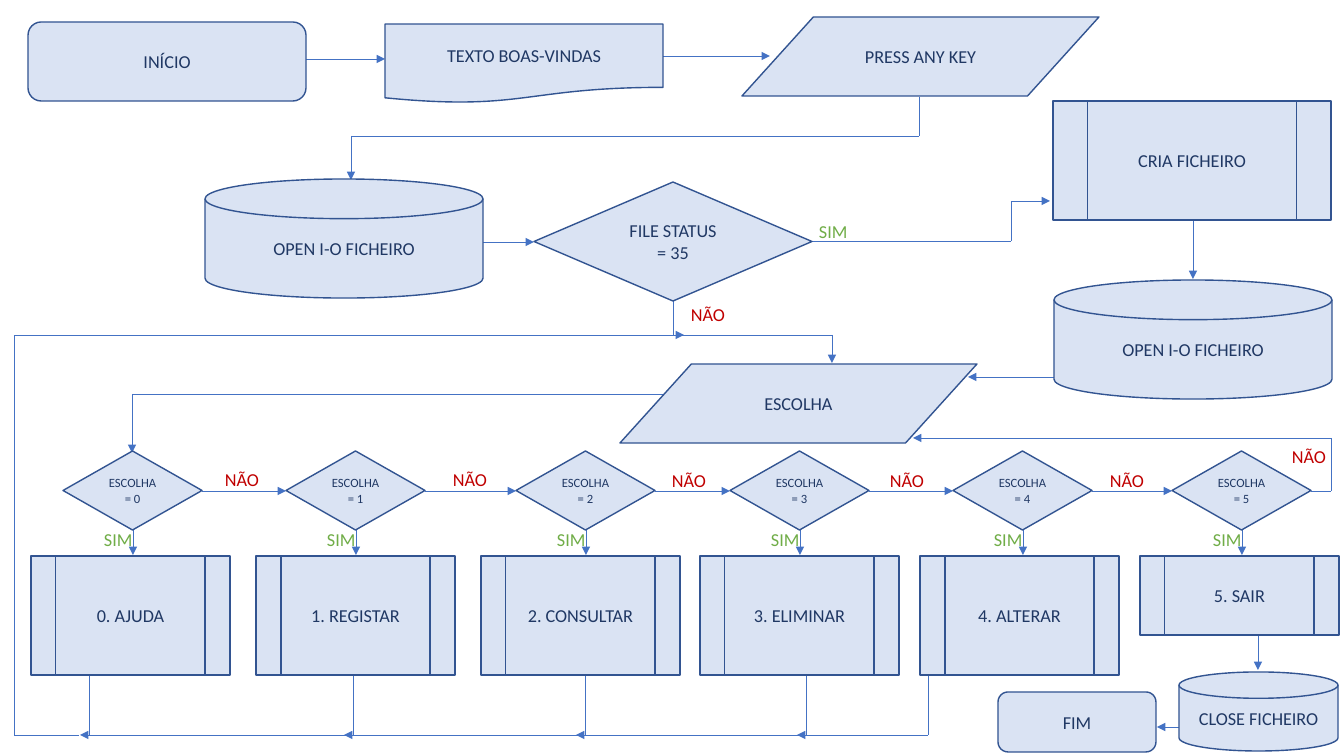
from dataclasses import dataclass
from itertools import pairwise

from lxml import etree
from pptx import Presentation
from pptx.dml.color import RGBColor
from pptx.enum.shapes import MSO_CONNECTOR, MSO_SHAPE
from pptx.enum.text import MSO_ANCHOR, MSO_AUTO_SIZE, PP_ALIGN
from pptx.oxml.ns import qn
from pptx.util import Emu, Pt

SCALE = 914400 / 100.8
FONT = "Calibri"
FILL = RGBColor(0xDA, 0xE3, 0xF3)
EDGE = RGBColor(0x32, 0x54, 0x91)
INK = RGBColor(0x20, 0x38, 0x64)
WIRE = RGBColor(0x44, 0x72, 0xC4)
GREEN = RGBColor(0x70, 0xAD, 0x47)
RED = RGBColor(0xC0, 0x00, 0x00)

ROUND = MSO_SHAPE.FLOWCHART_ALTERNATE_PROCESS
PAPER = MSO_SHAPE.FLOWCHART_DOCUMENT
INPUT = MSO_SHAPE.FLOWCHART_DATA
CALL = MSO_SHAPE.FLOWCHART_PREDEFINED_PROCESS
TEST = MSO_SHAPE.FLOWCHART_DECISION
DISK = MSO_SHAPE.FLOWCHART_MAGNETIC_DISK
STRAIGHT = MSO_CONNECTOR.STRAIGHT
MIDDLE = MSO_ANCHOR.MIDDLE
CENTER = PP_ALIGN.CENTER
GROW = MSO_AUTO_SIZE.SHAPE_TO_FIT_TEXT

Point = tuple[int, int]


@dataclass(frozen=True)
class Node:
    kind: MSO_SHAPE
    text: str
    x: int
    y: int
    w: int = 278
    h: int = 119
    size: int = 13


@dataclass(frozen=True)
class Label:
    text: str
    color: RGBColor
    x: int
    y: int
    w: int = 54


@dataclass(frozen=True)
class Route:
    points: tuple[Point, ...]
    arrow: bool = True


@dataclass(frozen=True)
class Branch:
    text: str
    test: int
    call: int
    no: Point
    h: int = 119


def px(n: int) -> Emu:
    return Emu(round(n * SCALE))


def write(frame, text: str, size: int, color: RGBColor, align=None) -> None:
    frame.word_wrap = True
    for i, line in enumerate(text.split("\n")):
        para = frame.add_paragraph() if i else frame.paragraphs[0]
        para.alignment = align
        run = para.add_run()
        run.text = line
        run.font.name = FONT
        run.font.size = Pt(size)
        run.font.color.rgb = color


def draw_node(shapes, node: Node) -> None:
    shape = shapes.add_shape(node.kind, px(node.x), px(node.y), px(node.w), px(node.h))
    shape.shadow.inherit = False
    shape.fill.solid()
    shape.fill.fore_color.rgb = FILL
    shape.line.color.rgb = EDGE
    shape.line.width = Pt(1)
    shape.text_frame.vertical_anchor = MIDDLE
    write(shape.text_frame, node.text, node.size, INK, CENTER)


def draw_label(shapes, label: Label) -> None:
    box = shapes.add_textbox(px(label.x), px(label.y), px(label.w), px(32))
    box.text_frame.auto_size = GROW
    box.text_frame.margin_right = 0
    write(box.text_frame, label.text, 13, label.color)


def draw_route(shapes, route: Route) -> None:
    for start, end in pairwise(route.points):
        wire = shapes.add_connector(STRAIGHT, *map(px, start + end))
        wire.line.color.rgb = WIRE
        wire.line.width = Pt(0.5)
        props = wire._element.spPr
        if route.arrow and end == route.points[-1]:
            tail = etree.SubElement(props.find(qn("a:ln")), qn("a:tailEnd"))
            tail.set("type", "triangle")
        etree.SubElement(props, qn("a:effectLst"))


NODES = [
    Node(ROUND, "INÍCIO", 28, 22, h=79),
    Node(PAPER, "TEXTO BOAS-VINDAS", 385, 24, h=79),
    Node(INPUT, "PRESS ANY KEY", 742, 17, 357, 79),
    Node(CALL, "CRIA FICHEIRO", 1053, 101),
    Node(DISK, "OPEN I-O FICHEIRO", 205, 179),
    Node(TEST, "FILE STATUS\n= 35", 534, 182),
    Node(DISK, "OPEN I-O FICHEIRO", 1054, 280),
    Node(INPUT, "ESCOLHA", 620, 364, 357, 79),
    Node(ROUND, "FIM", 998, 692, 158, 60),
    Node(DISK, "CLOSE FICHEIRO", 1179, 672, 159, 79),
]

BRANCHES = [
    Branch("AJUDA", 63, 31, (215, 463)),
    Branch("REGISTAR", 286, 256, (443, 463)),
    Branch("CONSULTAR", 516, 481, (662, 464)),
    Branch("ELIMINAR", 730, 700, (880, 464)),
    Branch("ALTERAR", 953, 920, (1100, 464)),
    Branch("SAIR", 1172, 1140, (1282, 440), 79),
]

LABELS = [
    Label("SIM", GREEN, 809, 215),
    Label("NÃO", RED, 681, 298),
]

ROUTES = [
    Route(((305, 59), (385, 59))),
    Route(((663, 56), (770, 56))),
    Route(((919, 97), (919, 136), (351, 136), (351, 180))),
    Route(((483, 242), (534, 242))),
    Route(((812, 241), (1011, 241), (1011, 201), (1050, 201))),
    Route(((1193, 220), (1193, 279))),
    Route(((673, 300), (673, 335), (832, 335), (832, 363))),
    Route(((1058, 377), (968, 377))),
    Route(((664, 394), (132, 394), (132, 453))),
    Route(((1311, 491), (1331, 491), (1331, 438), (913, 438))),
    Route(((79, 735), (14, 735), (14, 335), (684, 335))),
    Route(((1258, 635), (1258, 670))),
    Route(((1179, 727), (1157, 727))),
]

BACK = [89, 353, 585, 806, 928]
TEST_W = 139

for i, b in enumerate(BRANCHES):
    mid = b.test + TEST_W // 2 + 1
    NODES.append(Node(TEST, f"ESCOLHA = {i}", b.test, 451, TEST_W, 79, 9))
    NODES.append(Node(CALL, f"{i}. {b.text}", b.call, 556, 199, b.h))
    LABELS.append(Label("SIM", GREEN, b.test + 31, 523, 74))
    LABELS.append(Label("NÃO", RED, *b.no))
    ROUTES.append(Route(((mid, 527), (mid, 555))))

for a, b in pairwise(BRANCHES):
    ROUTES.append(Route(((a.test + TEST_W, 491), (b.test, 491))))
for x in BACK:
    ROUTES.append(Route(((x, 675), (x, 735)), False))
for left, right in pairwise(BACK):
    ROUTES.append(Route(((right, 735), (left - 9, 735))))

deck = Presentation()
deck.slide_width = px(1344)
deck.slide_height = px(756)
shapes = deck.slides.add_slide(deck.slide_layouts[6]).shapes
for route in ROUTES:
    draw_route(shapes, route)
for node in NODES:
    draw_node(shapes, node)
for label in LABELS:
    draw_label(shapes, label)
deck.save("out.pptx")
